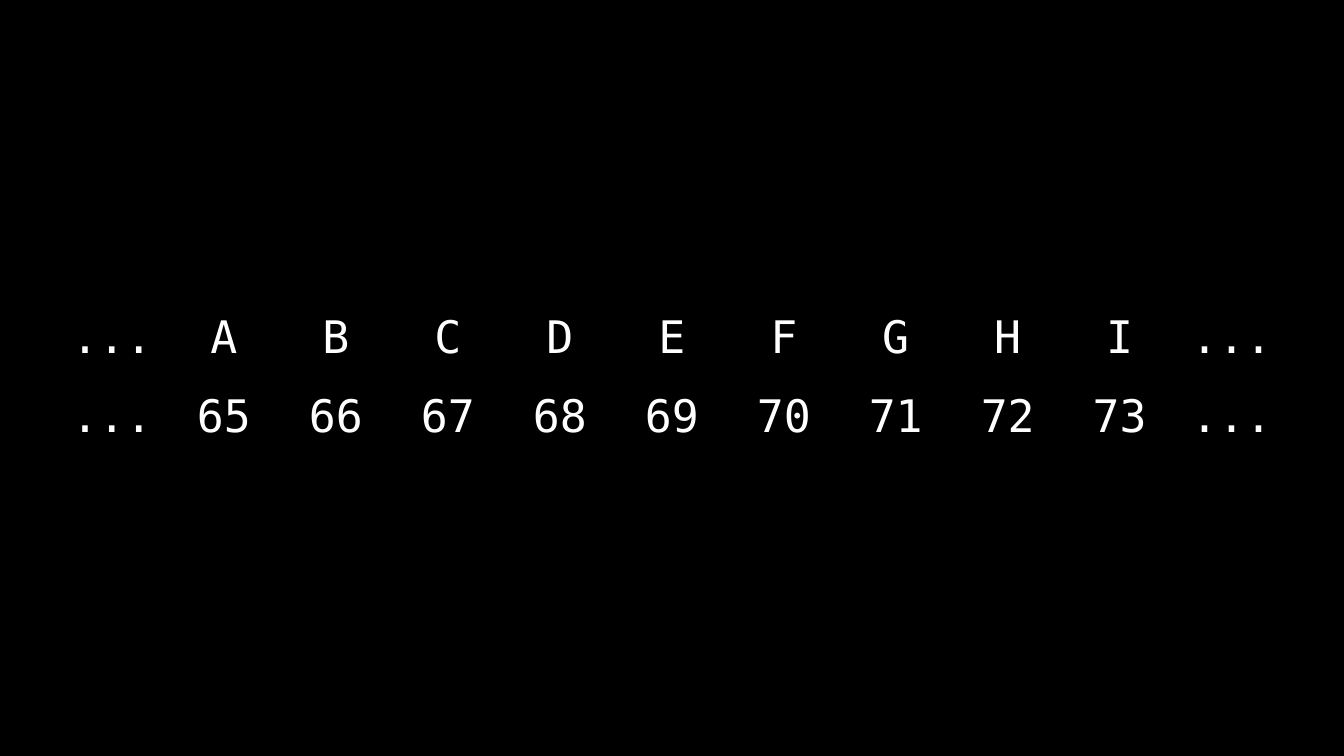
"""Build a slide that lists letters above their ASCII codes."""
from pptx import Presentation
from pptx.dml.color import RGBColor
from pptx.enum.text import PP_ALIGN
from pptx.util import Inches, Pt

BLACK = RGBColor(0x00, 0x00, 0x00)
WHITE = RGBColor(0xFF, 0xFF, 0xFF)
NO_GRID_STYLE = "{2D5ABB26-0587-4C30-8999-92F81FD0307C}"


def write_cell(cell, text, font="DejaVu Sans Mono", size=24, color=WHITE, margin=0.1):
    cell.fill.background()
    cell.margin_left = cell.margin_right = Inches(margin)
    cell.margin_top = cell.margin_bottom = Inches(margin)
    paragraph = cell.text_frame.paragraphs[0]
    paragraph.alignment = PP_ALIGN.CENTER
    run = paragraph.add_run()
    run.text = text
    run.font.name = font
    run.font.size = Pt(size)
    run.font.color.rgb = color


presentation = Presentation()
presentation.slide_width = Inches(10)
presentation.slide_height = Inches(10 * 9 / 16)
slide = presentation.slides.add_slide(presentation.slide_layouts[6])
slide.background.fill.solid()
slide.background.fill.fore_color.rgb = BLACK

letters = "ABCDEFGHI"
rows = [
    ["...", *letters, "..."],
    ["...", *(str(ord(letter)) for letter in letters), "..."],
]
column_count = len(rows[0])
column_width = Inches(10 / (column_count + 1))

frame = slide.shapes.add_table(
    len(rows), column_count, column_width // 2, Inches(2.22),
    column_width * column_count, Inches(0.42) * len(rows),
)
table = frame.table
table.first_row = False
table.horz_banding = False
for style_id in frame.element.xpath(".//a:tableStyleId"):
    style_id.text = NO_GRID_STYLE

for row_index, row in enumerate(rows):
    for column_index, text in enumerate(row):
        write_cell(table.cell(row_index, column_index), text)

presentation.save("out.pptx")
